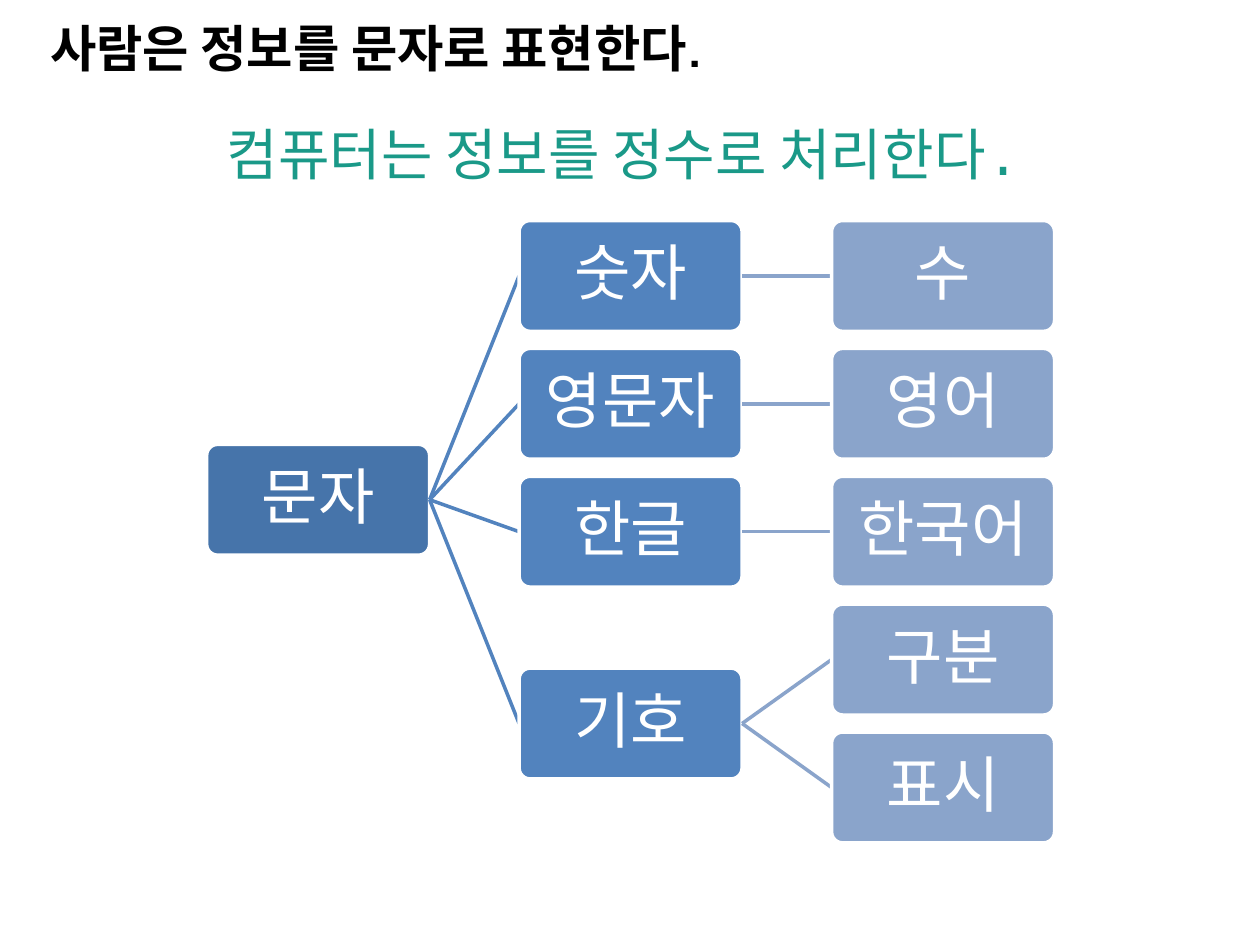
from pptx import Presentation
from pptx.dml.color import RGBColor
from pptx.enum.shapes import MSO_CONNECTOR as Connector, MSO_SHAPE as Shape
from pptx.enum.text import MSO_ANCHOR as Anchor, PP_ALIGN as Align
from pptx.oxml.xmlchemy import OxmlElement
from pptx.util import Inches, Pt

TREE = ("문자", [
    ("숫자", [("수", [])]),
    ("영문자", [("영어", [])]),
    ("한글", [("한국어", [])]),
    ("기호", [("구분", []), ("표시", [])]),
])


def color(value):
    return RGBColor.from_string(value)


def assign_rows(node, leaf_rows):
    label, children = node
    placed = [assign_rows(child, leaf_rows) for child in children]
    row = (placed[0][1] + placed[-1][1]) / 2 if placed else next(leaf_rows)
    return label, row, placed


class TreeSlide:
    """Draws titles and a left-to-right tree on a column and row grid."""

    font = "Courier New"
    white = "FFFFFF"
    level_colors = ("4674AA", "5283BE", "8AA4CB")
    left, top = 1.64, 1.75
    column_step, row_step = 2.48, 1.015
    box_width, box_height = 1.77, 0.88

    def __init__(self, presentation):
        self.width = presentation.slide_width
        self.height = presentation.slide_height
        self.slide = presentation.slides.add_slide(presentation.slide_layouts[6])

    def set_text(self, frame, text, size, fill, font=None, bold=False):
        frame.word_wrap = True
        paragraph = frame.paragraphs[0]
        paragraph.text = text
        paragraph.font.name = font or self.font
        paragraph.font.size = Pt(size)
        paragraph.font.bold = bold
        paragraph.font.color.rgb = color(fill)
        return paragraph

    def heading(self, text, x, y, width, height, size, fill, anchor=Anchor.TOP, **style):
        box = self.slide.shapes.add_textbox(
            int(x * self.width), int(y * self.height),
            int(width * self.width), int(height * self.height))
        box.text_frame.vertical_anchor = anchor
        self.set_text(box.text_frame, text, size, fill, **style)

    def box(self, text, column, row):
        shape = self.slide.shapes.add_shape(
            Shape.ROUNDED_RECTANGLE,
            Inches(self.left + column * self.column_step),
            Inches(self.top + row * self.row_step),
            Inches(self.box_width), Inches(self.box_height))
        shape.adjustments[0] = 0.1
        shape.shadow.inherit = False
        shape.fill.solid()
        shape.fill.fore_color.rgb = color(self.level_colors[column])
        shape.line.color.rgb = color(self.white)
        shape.line.width = Pt(2)
        frame = shape.text_frame
        frame.margin_left = frame.margin_right = Inches(0.05)
        frame.margin_top = frame.margin_bottom = Inches(0.05)
        frame.vertical_anchor = Anchor.MIDDLE
        paragraph = self.set_text(frame, text, 35, self.white)
        paragraph.alignment = Align.CENTER
        paragraph.line_spacing = 0.9
        return shape

    def link(self, parent, column):
        line = self.slide.shapes.add_connector(Connector.STRAIGHT, 0, 0, 0, 0)
        line.begin_connect(parent, 3)
        line.line.color.rgb = color(self.level_colors[column])
        line.line.width = Pt(2)
        line._element.spPr.append(OxmlElement("a:effectLst"))
        return line

    def tree(self, node, column=0, parent=None):
        label, row, children = node
        line = self.link(parent, column) if parent else None
        shape = self.box(label, column, row)
        if line:
            line.end_connect(shape, 1)
        for child in children:
            self.tree(child, column + 1, shape)


def main():
    presentation = Presentation()
    presentation.slide_width, presentation.slide_height = Inches(10), Inches(7.5)
    page = TreeSlide(presentation)
    page.heading("사람은 정보를 문자로 표현한다.", 0.03, 0.01, 0.94, 0.08, 28.8, "000000",
                 anchor=Anchor.MIDDLE, font="Manrope", bold=True)
    page.tree(assign_rows(TREE, iter(range(5))))
    page.heading("컴퓨터는 정보를 정수로 처리한다.", 0.17, 0.12, 0.74, 0.09, 32, "1A9988")
    presentation.save("out.pptx")


if __name__ == "__main__":
    main()
